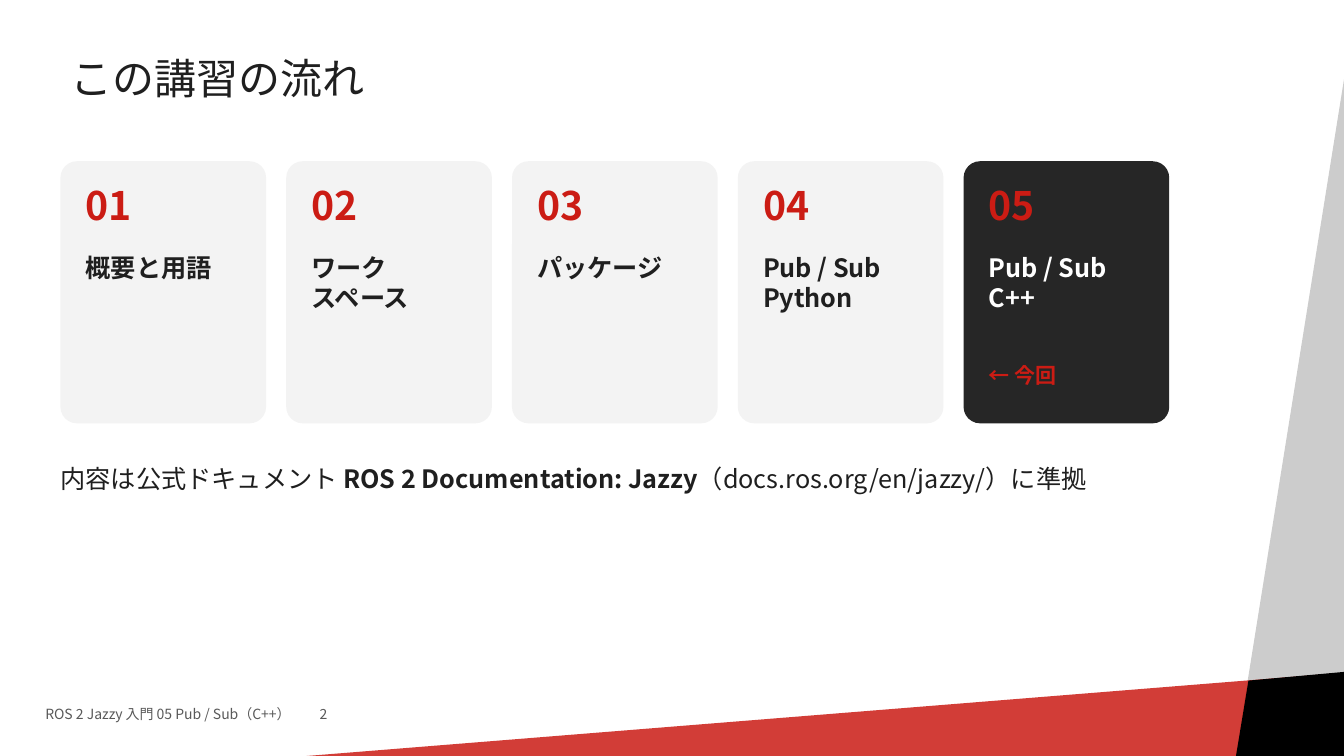
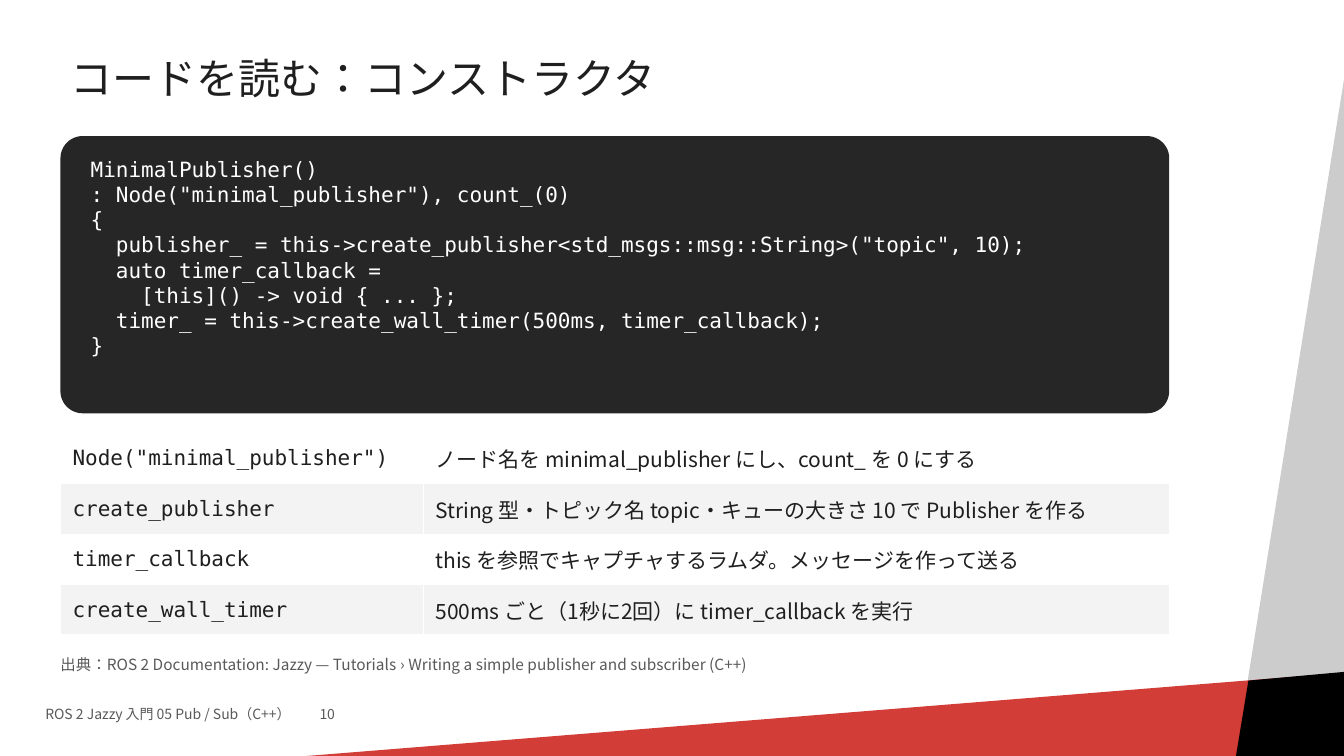
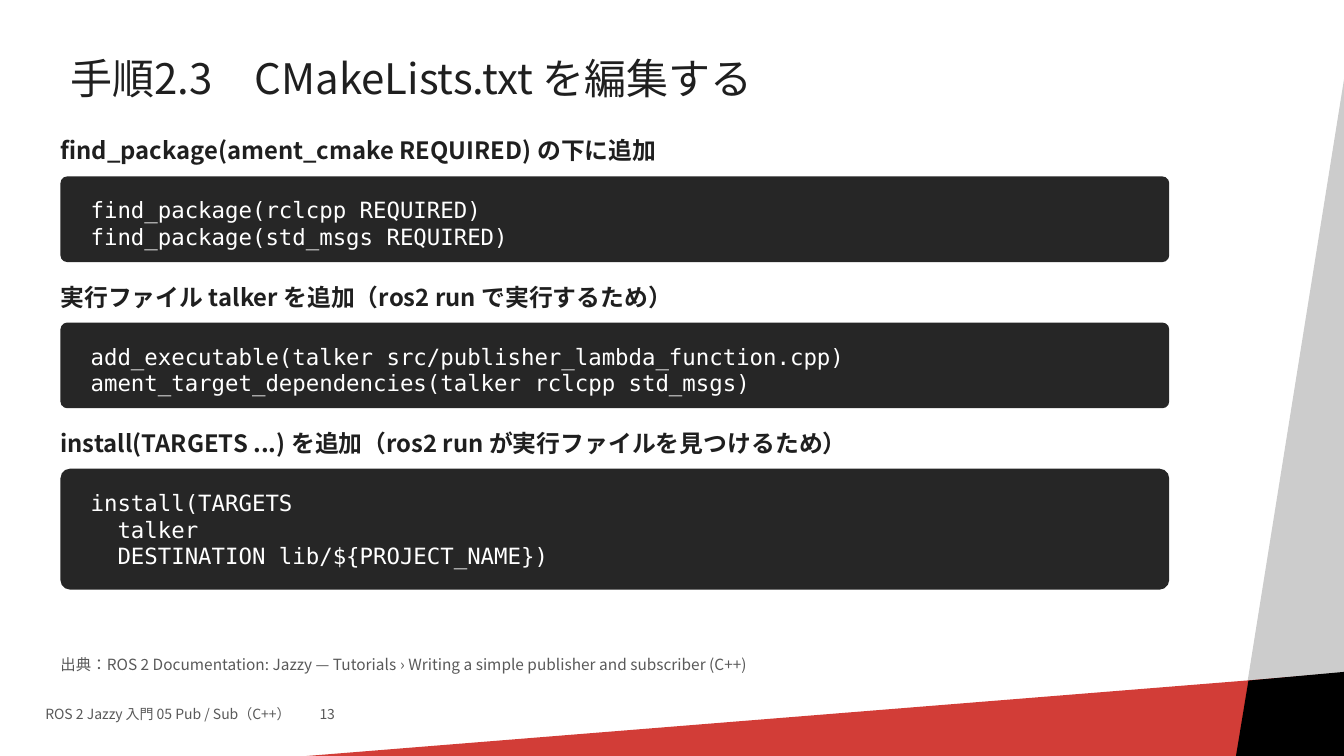
"""Build three slides of a ROS 2 course on publishers and subscribers in C++."""
import dataclasses
import typing

import lxml.etree
import pptx
import pptx.dml.color
import pptx.enum.lang
import pptx.enum.shapes
import pptx.enum.text
import pptx.oxml.ns
import pptx.presentation
import pptx.shapes.autoshape
import pptx.slide
import pptx.text.text
import pptx.util

Inches = pptx.util.Inches
RGBColor = pptx.dml.color.RGBColor
Slide = pptx.slide.Slide
Kind = pptx.enum.shapes.MSO_SHAPE
qn = pptx.oxml.ns.qn

RED = RGBColor(0xCB, 0x1C, 0x14)
INK = RGBColor(0x1F, 0x1F, 0x1F)
DARK = RGBColor(0x26, 0x26, 0x26)
NOTE = RGBColor(0x59, 0x59, 0x59)
GREY = RGBColor(0xCC, 0xCC, 0xCC)
PALE = RGBColor(0xF3, 0xF3, 0xF3)
WHITE = RGBColor(0xFF, 0xFF, 0xFF)
BLACK = RGBColor(0, 0, 0)

SANS = "Noto Sans CJK JP"
MONO = "DejaVu Sans Mono"

WIDE = 40 / 3
HIGH = 7.5
LEFT = 0.6
SPAN = 11.0


@dataclasses.dataclass(frozen=True)
class Style:
    size: float
    color: RGBColor = INK
    bold: bool = False
    font: str = SANS


@dataclasses.dataclass(frozen=True)
class Area:
    left: float
    top: float
    width: float
    height: float

    def lengths(self) -> tuple[int, int, int, int]:
        return (Inches(self.left), Inches(self.top),
                Inches(self.width), Inches(self.height))


@dataclasses.dataclass(frozen=True)
class Piece:
    text: str
    style: Style


@dataclasses.dataclass(frozen=True)
class Band:
    area: Area
    turn: float
    color: RGBColor
    alpha: int = 100
    slant: float = 0


@dataclasses.dataclass(frozen=True)
class Card:
    lines: tuple[str, ...]
    tag: str = ""


@dataclasses.dataclass(frozen=True)
class Block:
    label: str
    lines: tuple[str, ...]
    height: float


Line = typing.Sequence[Piece]

TITLE = Style(30)
FOOTER = Style(10, NOTE)
SOURCE = Style(11, NOTE)

BANDS = (
    Band(Area(6.29, 6.27, 13.67, 1.57), 279.1, GREY),
    Band(Area(0.59, 7.15, 13.67, 1.15), 355.4, RED, alpha=85),
    Band(Area(12.13, 6.69, 1.92, 1.18), 354.8, BLACK, slant=0.26),
)

CARDS = (
    Card(("概要と用語",)),
    Card(("ワーク", "スペース")),
    Card(("パッケージ",)),
    Card(("Pub / Sub", "Python")),
    Card(("Pub / Sub", "C++"), "← 今回"),
)

MAKER = (
    "MinimalPublisher()",
    ': Node("minimal_publisher"), count_(0)',
    "{",
    '  publisher_ = this->create_publisher<std_msgs::msg::String>("topic", 10);',
    "  auto timer_callback =",
    "    [this]() -> void { ... };",
    "  timer_ = this->create_wall_timer(500ms, timer_callback);",
    "}",
)

TERMS = (
    ('Node("minimal_publisher")',
     "ノード名を minimal_publisher にし、count_ を 0 にする"),
    ("create_publisher",
     "String 型・トピック名 topic・キューの大きさ 10 で Publisher を作る"),
    ("timer_callback",
     "this を参照でキャプチャするラムダ。メッセージを作って送る"),
    ("create_wall_timer",
     "500ms ごと（1秒に2回）に timer_callback を実行"),
)

BLOCKS = (
    Block("find_package(ament_cmake REQUIRED) の下に追加",
          ("find_package(rclcpp REQUIRED)",
           "find_package(std_msgs REQUIRED)"), 0.85),
    Block("実行ファイル talker を追加（ros2 run で実行するため）",
          ("add_executable(talker src/publisher_lambda_function.cpp)",
           "ament_target_dependencies(talker rclcpp std_msgs)"), 0.85),
    Block("install(TARGETS ...) を追加（ros2 run が実行ファイルを見つけるため）",
          ("install(TARGETS",
           "  talker",
           "  DESTINATION lib/${PROJECT_NAME})"), 1.2),
)


def add_run(para: pptx.text.text._Paragraph, piece: Piece) -> None:
    run = para.add_run()
    run.text = piece.text
    style = piece.style
    run.font.size = pptx.util.Pt(style.size)
    run.font.bold = style.bold
    run.font.color.rgb = style.color
    run.font.name = style.font
    run.font.language_id = pptx.enum.lang.MSO_LANGUAGE_ID.JAPANESE
    props = run._r.get_or_add_rPr()
    lxml.etree.SubElement(props, qn("a:ea"), typeface=style.font)


def fill_text(frame: pptx.text.text.TextFrame, lines: typing.Sequence[Line]) -> None:
    for row, line in enumerate(lines):
        para = frame.add_paragraph() if row else frame.paragraphs[0]
        for piece in line:
            add_run(para, piece)


def plain(lines: typing.Sequence[str], style: Style) -> list[Line]:
    return [[Piece(text, style)] for text in lines]


def add_text(slide: Slide, area: Area,
             lines: typing.Sequence[Line]) -> pptx.text.text.TextFrame:
    frame = slide.shapes.add_textbox(*area.lengths()).text_frame
    frame.word_wrap = True
    frame.auto_size = pptx.enum.text.MSO_AUTO_SIZE.SHAPE_TO_FIT_TEXT
    frame.margin_left = frame.margin_right = 0
    frame.margin_top = frame.margin_bottom = 0
    fill_text(frame, lines)
    return frame


def add_shape(slide: Slide, kind: Kind, area: Area,
              color: RGBColor) -> pptx.shapes.autoshape.Shape:
    shape = slide.shapes.add_shape(kind, *area.lengths())
    shape.shadow.inherit = False
    shape.fill.solid()
    shape.fill.fore_color.rgb = color
    shape.line.fill.background()
    return shape


def add_panel(slide: Slide, area: Area, color: RGBColor) -> None:
    panel = add_shape(slide, Kind.ROUNDED_RECTANGLE, area, color)
    panel.adjustments[0] = 0.08


def add_band(slide: Slide, band: Band) -> None:
    kind = Kind.PARALLELOGRAM if band.slant else Kind.RECTANGLE
    shape = add_shape(slide, kind, band.area, band.color)
    shape.rotation = band.turn
    if band.slant:
        shape.adjustments[0] = band.slant
    if band.alpha < 100:
        tint = shape.element.spPr.find(f"{qn('a:solidFill')}/{qn('a:srgbClr')}")
        lxml.etree.SubElement(tint, qn("a:alpha"), val=str(band.alpha * 1000))


def add_title(slide: Slide, title: str) -> None:
    frame = slide.shapes.add_textbox(*Area(LEFT, 0.35, 10.4, 0.9).lengths()).text_frame
    frame.word_wrap = True
    frame.vertical_anchor = pptx.enum.text.MSO_ANCHOR.MIDDLE
    fill_text(frame, plain([title], TITLE))
    frame.paragraphs[0].line_spacing = 0.9


def add_footer(slide: Slide, number: int) -> None:
    frame = add_text(slide, Area(0.45, 7, 4.5, 0.3), [[]])
    para = frame.paragraphs[0]
    tabs = lxml.etree.SubElement(para._p.get_or_add_pPr(), qn("a:tabLst"))
    lxml.etree.SubElement(tabs, qn("a:tab"), pos=str(Inches(2.72)), algn="l")
    add_run(para, Piece(f"ROS 2 Jazzy 入門 05 Pub / Sub（C++）\t{number}", FOOTER))


def add_page(deck: pptx.presentation.Presentation, title: str, number: int) -> Slide:
    slide = deck.slides.add_slide(deck.slide_layouts[6])
    for band in BANDS:
        add_band(slide, band)
    add_title(slide, title)
    add_footer(slide, number)
    return slide


def add_source(slide: Slide) -> None:
    text = ("出典：ROS 2 Documentation: Jazzy — Tutorials › "
            "Writing a simple publisher and subscriber (C++)")
    add_text(slide, Area(LEFT, 6.5, 9.5, 0.3), plain([text], SOURCE))


def add_code(slide: Slide, top: float, height: float,
             lines: typing.Sequence[str], size: float) -> None:
    add_panel(slide, Area(LEFT, top, SPAN, height), DARK)
    inner = Area(LEFT + 0.3, top + 0.2, SPAN - 0.6, height - 0.4)
    add_text(slide, inner, plain(lines, Style(size, WHITE, font=MONO)))


def add_card(slide: Slide, index: int, card: Card) -> None:
    width, gap = 2.04, 0.2
    left = LEFT + index * (width + gap)
    inset = left + 0.25
    back, ink = (DARK, WHITE) if card.tag else (PALE, INK)
    add_panel(slide, Area(left, 1.6, width, 2.6), back)
    add_text(slide, Area(inset, 1.8, 1.6, 0.6),
             plain([f"{index + 1:02}"], Style(28, RED, True)))
    add_text(slide, Area(inset, 2.5, 1.7, 1),
             plain(card.lines, Style(18, ink, True)))
    if card.tag:
        add_text(slide, Area(inset, 3.6, 1.7, 0.4),
                 plain([card.tag], Style(15, RED, True)))


def add_terms(slide: Slide) -> None:
    area = Area(LEFT, 4.3, SPAN, 0.5 * len(TERMS))
    table = slide.shapes.add_table(len(TERMS), 2, *area.lengths()).table
    for column, width in zip(table.columns, (3.6, 7.4)):
        column.width = Inches(width)
    for row, term in enumerate(TERMS):
        for col, (text, font) in enumerate(zip(term, (MONO, SANS))):
            cell = table.cell(row, col)
            cell.fill.solid()
            cell.fill.fore_color.rgb = PALE if row % 2 else WHITE
            cell.vertical_anchor = pptx.enum.text.MSO_ANCHOR.MIDDLE
            cell.margin_left = cell.margin_right = Inches(0.12)
            cell.margin_top = cell.margin_bottom = Inches(0.05)
            fill_text(cell.text_frame, plain([text], Style(15, font=font)))


def draw_course(deck: pptx.presentation.Presentation) -> None:
    slide = add_page(deck, "この講習の流れ", 2)
    for index, card in enumerate(CARDS):
        add_card(slide, index, card)
    body = Style(18)
    add_text(slide, Area(LEFT, 4.6, SPAN, 0.5), [[
        Piece("内容は公式ドキュメント ", body),
        Piece("ROS 2 Documentation: Jazzy", Style(18, bold=True)),
        Piece("（docs.ros.org/en/jazzy/）に準拠", body),
    ]])


def draw_maker(deck: pptx.presentation.Presentation) -> None:
    slide = add_page(deck, "コードを読む：コンストラクタ", 10)
    add_source(slide)
    add_code(slide, 1.35, 2.75, MAKER, 15)
    add_terms(slide)


def draw_build(deck: pptx.presentation.Presentation) -> None:
    slide = add_page(deck, "手順2.3　CMakeLists.txt を編集する", 13)
    add_source(slide)
    top, head, gap = 1.35, 0.4, 0.2
    for block in BLOCKS:
        add_text(slide, Area(LEFT, top, SPAN, head),
                 plain([block.label], Style(17, bold=True)))
        add_code(slide, top + head, block.height, block.lines, 16)
        top += head + block.height + gap


def main() -> None:
    deck = pptx.Presentation()
    deck.slide_width = Inches(WIDE)
    deck.slide_height = Inches(HIGH)
    draw_course(deck)
    draw_maker(deck)
    draw_build(deck)
    deck.save("out.pptx")


if __name__ == "__main__":
    main()
